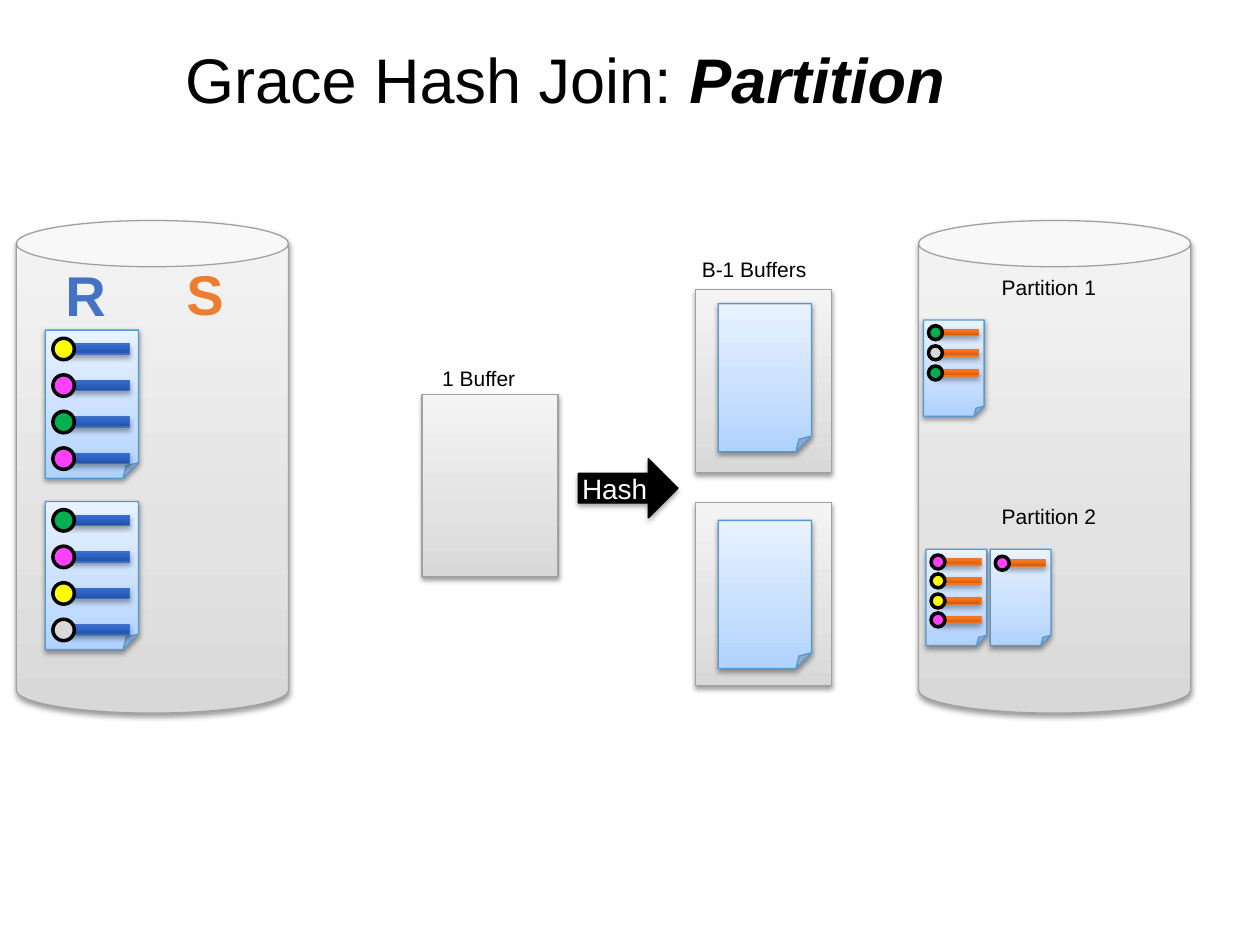
import lxml.etree
import pptx
import pptx.dml.color
import pptx.enum.shapes
import pptx.enum.text
import pptx.oxml.ns
import pptx.util

SHAPE = pptx.enum.shapes.MSO_SHAPE
Inches = pptx.util.Inches

COLORS = {
    "black": "000000", "white": "FFFFFF", "gray line": "A1A1A1",
    "page line": "5698D3", "R": "4472C4", "S": "ED7D31",
    "R line": "3F6EC3", "S line": "EC792B",
    "green": "00B050", "pink": "FF40FF", "yellow": "FFFF00", "gray": "D9D9D9",
}
# Gradient stops run from the bottom edge to the top edge
GRADIENTS = {
    "metal": [(0, "D8D8D8"), (35, "E3E3E3"), (100, "F4F4F4")],
    "page": [(0, "AFD2FF"), (35, "C6DEFF"), (100, "E9F2FF")],
    "R bar": [(0, "24509E"), (80, "2F69D0"), (100, "2C69D4")],
    "S bar": [(0, "C3580F"), (80, "FF7416"), (100, "FF7517")],
}
# Opacity in percent and distance in points
SOFT_SHADOW = (38, 1.6)
BAR_SHADOW = (35, 1.8)


def add_xml(parent, tag, **attributes):
    child = lxml.etree.SubElement(parent, pptx.oxml.ns.qn(tag))
    for name, value in attributes.items():
        child.set(name, str(value))
    return child


class JoinSlide:
    font = "Arial"
    inset = Inches(0.05)

    def __init__(self, slide):
        self.slide = slide

    def color(self, name):
        return pptx.dml.color.RGBColor.from_string(COLORS[name])

    def shape(self, kind, left, top, width, height, fill, line, weight=0.75, shadow=None):
        shape = self.slide.shapes.add_shape(
            kind, Inches(left), Inches(top), Inches(width), Inches(height))
        properties = shape.fill._xPr
        if fill in GRADIENTS:
            shape.fill.gradient()
            shape.fill.gradient_angle = 90
            stops = properties.find(".//" + pptx.oxml.ns.qn("a:gsLst"))
            for stop in list(stops):
                stops.remove(stop)
            for position, value in GRADIENTS[fill]:
                stop = add_xml(stops, "a:gs", pos=position * 1000)
                add_xml(stop, "a:srgbClr", val=value)
        else:
            shape.fill.solid()
            shape.fill.fore_color.rgb = self.color(fill)
        shape.line.color.rgb = self.color(line)
        shape.line.width = pptx.util.Pt(weight)
        shape.shadow.inherit = False
        if shadow:
            opacity, distance = shadow
            effects = properties.find(pptx.oxml.ns.qn("a:effectLst"))
            outer = add_xml(effects, "a:outerShdw", blurRad=pptx.util.Pt(3),
                            dist=pptx.util.Pt(distance), dir=5400000, rotWithShape=0)
            tint = add_xml(outer, "a:srgbClr", val=COLORS["black"])
            add_xml(tint, "a:alpha", val=opacity * 1000)
        return shape

    def text(self, left, top, width, height, pieces, size, color="black",
             bold=False, wrap=False):
        """Each piece is (words, emphasised)."""
        box = self.slide.shapes.add_textbox(
            Inches(left), Inches(top), Inches(width), Inches(height))
        frame = box.text_frame
        frame.word_wrap = wrap
        frame.margin_left = frame.margin_right = self.inset
        frame.margin_top = frame.margin_bottom = self.inset
        if wrap:
            frame.vertical_anchor = pptx.enum.text.MSO_ANCHOR.MIDDLE
        for words, emphasised in pieces:
            span = frame.paragraphs[0].add_run()
            span.text = words
            span.font.name = self.font
            span.font.size = pptx.util.Pt(size)
            span.font.color.rgb = self.color(color)
            span.font.bold = bold or emphasised
            span.font.italic = emphasised

    def label(self, left, top, width, words):
        self.text(left, top, width, 0.29, [(words, False)], 12)

    def disk(self, left):
        can = self.shape(SHAPE.CAN, left, 1.75, 2.16, 3.91, "metal", "gray line",
                         shadow=SOFT_SHADOW)
        can.adjustments[0] = 0.17

    def buffer(self, left, top):
        self.shape(SHAPE.RECTANGLE, left, top, 1.08, 1.45, "metal", "gray line",
                   shadow=SOFT_SHADOW)

    def page(self, left, top, scale=1, relation="R", records=()):
        """Each record is (offset of its middle from the page top, key colour)."""
        self.shape(SHAPE.FOLDED_CORNER, left, top, 0.74 * scale, 1.175 * scale,
                   "page", "page line", shadow=SOFT_SHADOW)
        bar, dot = 0.08 * scale, 0.17 * scale
        for offset, key in records:
            middle = top + offset
            self.shape(SHAPE.RECTANGLE, left + 0.15 * scale, middle - bar / 2,
                       0.52 * scale, bar, relation + " bar", relation + " line",
                       shadow=BAR_SHADOW)
            self.shape(SHAPE.OVAL, left + 0.06 * scale, middle - dot / 2,
                       dot, dot, key, "black", weight=2)


def main():
    deck = pptx.Presentation()
    deck.slide_width, deck.slide_height = Inches(10), Inches(7.5)
    join = JoinSlide(deck.slides.add_slide(deck.slide_layouts[6]))

    # Title
    join.text(1.42, 0, 7.83, 1.25,
              [("Grace Hash Join:", False), (" Partition", True)], 36, wrap=True)

    # Input and output disks
    for left in (0.13, 7.29):
        join.disk(left)

    # Buffers in memory
    join.label(5.52, 1.99, 0.96, "B-1 Buffers")
    for buffer_top, page_top in ((2.3, 2.41), (3.99, 4.13)):
        join.buffer(5.52, buffer_top)
        join.page(5.7, page_top)
    join.buffer(3.35, 3.13)
    join.label(3.46, 2.85, 0.7, "1 Buffer")

    # Relations on the input disk
    join.text(0.47, 2.02, 0.43, 0.63, [("R", False)], 32, "R", bold=True)
    join.text(1.43, 2.01, 0.4, 0.63, [("S", False)], 32, "S", bold=True)
    for top, keys in ((2.62, ("yellow", "pink", "green", "pink")),
                      (3.98, ("green", "pink", "yellow", "gray"))):
        records = [(0.15 + 0.29 * row, key) for row, key in enumerate(keys)]
        join.page(0.36, top, records=records)

    # Hash step
    join.shape(SHAPE.RIGHT_ARROW, 4.59, 3.64, 0.79, 0.47, "black", "black",
               shadow=BAR_SHADOW)
    join.text(4.57, 3.69, 0.63, 0.34, [("Hash", False)], 16, "white")

    # Partitions on the output disk
    partition_pages = (
        (7.33, 2.54, ((0.1, "green"), (0.26, "gray"), (0.42, "green"))),
        (7.35, 4.36, ((0.1, "pink"), (0.25, "yellow"), (0.41, "yellow"), (0.56, "pink"))),
        (7.86, 4.36, ((0.11, "pink"),)),
    )
    for left, top, records in partition_pages:
        join.page(left, top, 0.65, "S", records)
    for number, top in ((1, 2.13), (2, 3.95)):
        join.label(7.9, top, 0.87, f"Partition {number}")

    deck.save("out.pptx")


if __name__ == "__main__":
    main()
